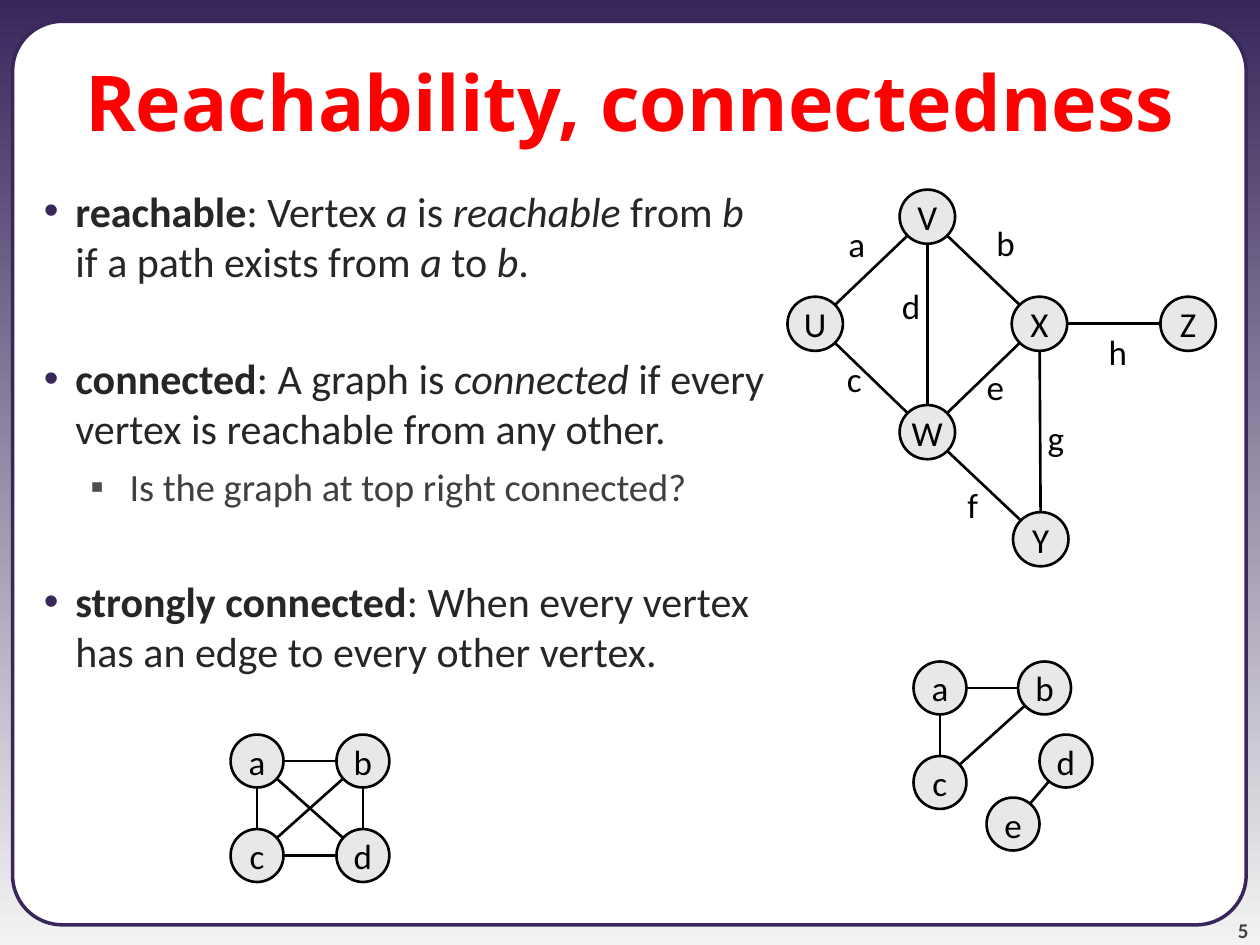
"""Build the slide on reachability and connectedness of graphs."""
from dataclasses import dataclass
from math import hypot

from lxml.etree import SubElement
from pptx import Presentation
from pptx.dml.color import RGBColor
from pptx.enum.shapes import MSO_CONNECTOR, MSO_SHAPE
from pptx.enum.text import MSO_ANCHOR, PP_ALIGN
from pptx.oxml.ns import qn
from pptx.util import Inches, Pt


@dataclass(frozen=True)
class Theme:
    """Colours, fonts and type sizes."""
    frame: str = "39275B"
    fade: str = "F3F3F3"
    paper: str = "FFFFFF"
    title: str = "FF0000"
    body: str = "262626"
    minor: str = "404040"
    square: str = "4D4D4D"
    page: str = "424242"
    ink: str = "000000"
    node: str = "E8E8E8"
    font: str = "Calibri"
    head_font: str = "Noto Sans"
    head_size: int = 44
    body_size: int = 24
    minor_size: int = 22
    graph_size: int = 20
    page_size: int = 12


THEME = Theme()


def color(code):
    """Turn a hex code into a colour."""
    return RGBColor.from_string(code)


def write(para, text, size=THEME.graph_size, tint=THEME.ink, font=THEME.font,
          bold=False, slant=False):
    """Add text to a paragraph, with line breaks at newlines."""
    for count, line in enumerate(text.split("\n")):
        if count:
            para.add_line_break()
        run = para.add_run()
        run.text = line
        run.font.size, run.font.name = Pt(size), font
        run.font.bold, run.font.italic = bold, slant
        run.font.color.rgb = color(tint)


def add_box(shapes, left, top, width, height, wrap=True, anchor=MSO_ANCHOR.TOP):
    """Add a text box and return its frame."""
    box = shapes.add_textbox(Inches(left), Inches(top), Inches(width), Inches(height))
    frame = box.text_frame
    frame.word_wrap, frame.vertical_anchor = wrap, anchor
    return frame


def add_shape(shapes, kind, left, top, width, height, fill, line, weight):
    """Add a flat preset shape."""
    shape = shapes.add_shape(kind, Inches(left), Inches(top), Inches(width), Inches(height))
    shape.shadow.inherit = False
    shape.fill.solid()
    shape.fill.fore_color.rgb = color(fill)
    shape.line.color.rgb = color(line)
    shape.line.width = Pt(weight)
    return shape


def add_node(shapes, name, spot, width, height):
    """Add a named vertex centred on a spot."""
    shape = add_shape(shapes, MSO_SHAPE.OVAL, spot[0] - width / 2, spot[1] - height / 2,
                      width, height, THEME.node, THEME.ink, 1.5)
    frame = shape.text_frame
    frame.word_wrap, frame.vertical_anchor = False, MSO_ANCHOR.MIDDLE
    frame.paragraphs[0].alignment = PP_ALIGN.CENTER
    write(frame.paragraphs[0], name)


def add_edge(shapes, start, end, trim):
    """Join two vertices from rim to rim."""
    wide, high = end[0] - start[0], end[1] - start[1]
    part = trim / hypot(wide, high)
    step_x, step_y = wide * part, high * part
    line = shapes.add_connector(
        MSO_CONNECTOR.STRAIGHT, Inches(start[0] + step_x), Inches(start[1] + step_y),
        Inches(end[0] - step_x), Inches(end[1] - step_y))
    line.line.color.rgb = color(THEME.ink)
    line.line.width = Pt(1.5)
    SubElement(line._element.spPr, qn("a:effectLst"))


def add_graph(shapes, nodes, edges, width, height):
    """Draw a graph from its vertices and pairs of names."""
    for name, spot in nodes.items():
        add_node(shapes, name, spot, width, height)
    for start, end in edges.split():
        add_edge(shapes, nodes[start], nodes[end], width / 2)


def add_label(shapes, text, middle, top):
    """Name an edge."""
    para = add_box(shapes, middle - 0.17, top, 0.34, 0.44, wrap=False).paragraphs[0]
    para.alignment = PP_ALIGN.CENTER
    write(para, text)


def set_bullet(para, mark, tint, left, hang, before):
    """Give a paragraph a bullet, an indent and space before."""
    props = para._p.get_or_add_pPr()
    props.set("marL", str(Inches(left)))
    props.set("indent", str(-Inches(hang)))
    hue = SubElement(props, qn("a:buClr"))
    SubElement(hue, qn("a:srgbClr")).set("val", tint)
    SubElement(props, qn("a:buFont")).set("typeface", "Arial")
    SubElement(props, qn("a:buChar")).set("char", mark)
    if before:
        para.space_before = Pt(before)


def add_term(para, term, text, before):
    """Write a bold term and its meaning, with starred words in italics."""
    set_bullet(para, "•", THEME.frame, 0.5, 0.25, before)
    look = {"size": THEME.body_size, "tint": THEME.body}
    write(para, term, bold=True, **look)
    for count, piece in enumerate(text.split("*")):
        write(para, piece, slant=count % 2 == 1, **look)


def add_body(shapes):
    """Write the terms and the question."""
    frame = add_box(shapes, 0, 1.42, 10, 6.08)
    add_term(frame.paragraphs[0], "reachable",
             ": Vertex *a* is *reachable *from *b*\nif a path exists from *a* to *b*.", 0)
    add_term(frame.add_paragraph(), "connected",
             ": A graph is *connected* if every\nvertex is reachable from any other.", 38)
    para = frame.add_paragraph()
    set_bullet(para, "▪", THEME.square, 0.93, 0.31, 5.5)
    write(para, "Is the graph at top right connected?", size=THEME.minor_size,
          tint=THEME.minor)
    add_term(frame.add_paragraph(), "strongly connected",
             ": When every vertex\nhas an edge to every other vertex.", 38)


def add_frame(slide):
    """Draw the ground, the panel and the page number."""
    fill = slide.background.fill
    fill.gradient()
    fill.gradient_angle = 270
    for stop, tint in zip(fill.gradient_stops, (THEME.frame, THEME.fade)):
        stop.color.rgb = color(tint)
    panel = add_shape(slide.shapes, MSO_SHAPE.ROUNDED_RECTANGLE, 0.1, 0.17, 9.79, 7.17,
                      THEME.paper, THEME.frame, 2)
    panel.adjustments[0] = 0.055
    frame = add_box(slide.shapes, 9.08, 7.08, 0.83, 0.4, anchor=MSO_ANCHOR.BOTTOM)
    frame.margin_left = frame.margin_right = frame.margin_top = frame.margin_bottom = 0
    frame.paragraphs[0].alignment = PP_ALIGN.RIGHT
    write(frame.paragraphs[0], "5", size=THEME.page_size, tint=THEME.page, bold=True)


def main():
    """Build and save the slide."""
    deck = Presentation()
    deck.slide_width, deck.slide_height = Inches(10), Inches(7.5)
    slide = deck.slides.add_slide(deck.slide_layouts[6])
    shapes = slide.shapes
    add_frame(slide)
    head = add_box(shapes, 0, 0.17, 10, 1.25, anchor=MSO_ANCHOR.MIDDLE).paragraphs[0]
    head.alignment = PP_ALIGN.CENTER
    write(head, "Reachability, connectedness", size=THEME.head_size, tint=THEME.title,
          font=THEME.head_font, bold=True)
    add_body(shapes)

    group = shapes.add_group_shape().shapes
    nodes = {"X": (8.25, 2.57), "U": (6.47, 2.57), "V": (7.36, 1.72),
             "W": (7.36, 3.43), "Z": (9.43, 2.57), "Y": (8.26, 4.28)}
    add_graph(group, nodes, "VU WU WX XZ VX VW WY XY", 0.44, 0.43)
    labels = {"a": (6.8, 1.72), "c": (6.78, 2.79), "b": (7.98, 1.71), "e": (7.9, 2.85),
              "d": (7.23, 2.21), "f": (7.72, 3.79), "g": (8.38, 3.26), "h": (8.87, 2.57)}
    for text, (middle, top) in labels.items():
        add_label(group, text, middle, top)

    nodes = {"a": (2.04, 6.04), "c": (2.04, 6.79), "b": (2.88, 6.04), "d": (2.88, 6.79)}
    add_graph(shapes, nodes, "ac cd db cb ad ab", 0.42, 0.42)

    nodes = {"a": (7.46, 5.46), "c": (7.46, 6.21), "b": (8.29, 5.46),
             "d": (8.46, 6.04), "e": (8.04, 6.54)}
    add_graph(shapes.add_group_shape().shapes, nodes, "ac ed cb ab", 0.42, 0.42)
    deck.save("out.pptx")


if __name__ == "__main__":
    main()
